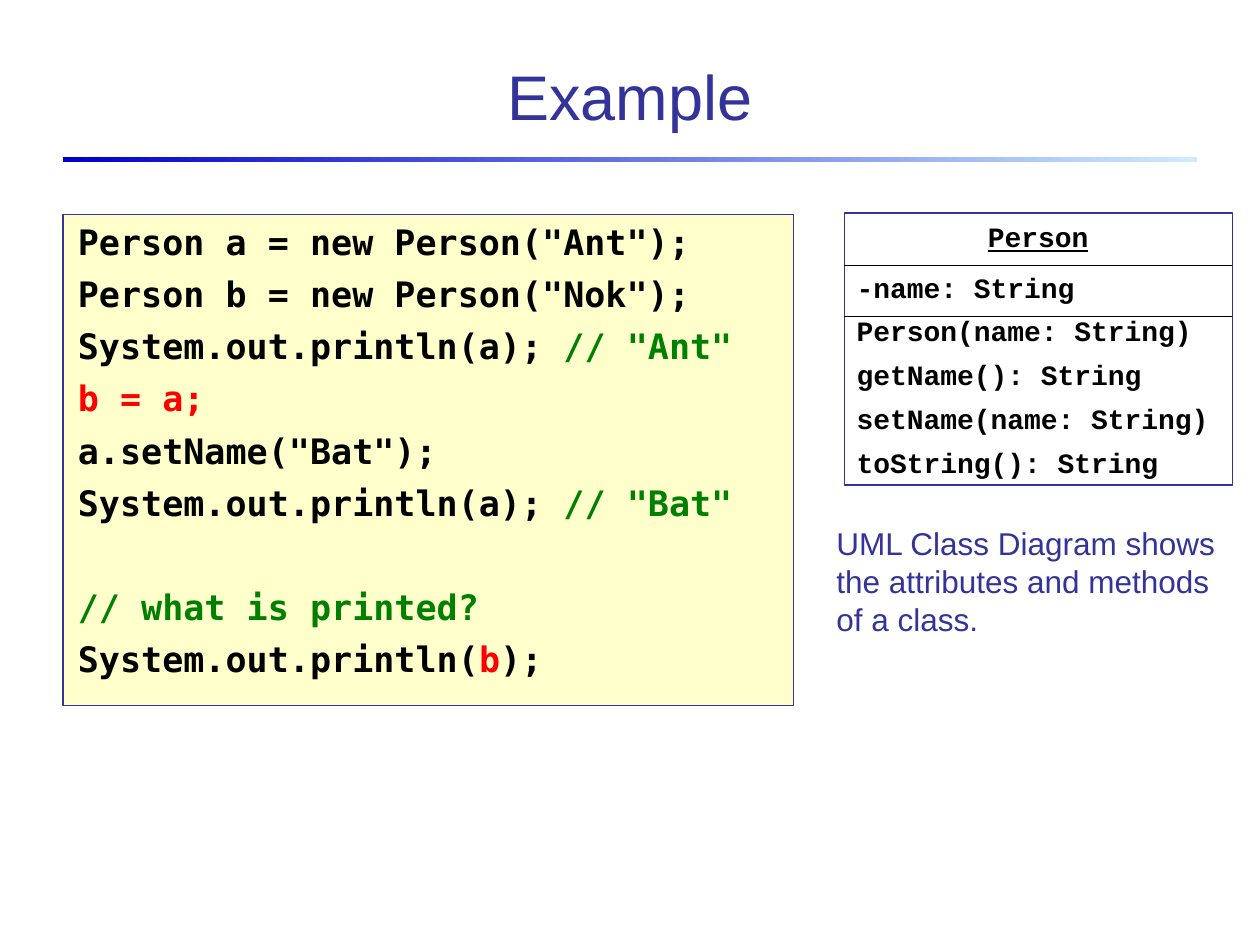
from lxml import etree
from pptx import Presentation
from pptx import util as u
from pptx.dml.color import RGBColor
from pptx.enum import shapes, text
from pptx.oxml import ns

COLORS = {
    "indigo": "333399", "black": "000000", "green": "008000", "red": "FF0000",
    "cream": "FFFFCC", "blue": "0000CC", "sky": "CCECFF",
}
CODE = [
    [('Person a = new Person("Ant");', "black")],
    [('Person b = new Person("Nok");', "black")],
    [("System.out.println(a); ", "black"), ('// "Ant"', "green")],
    [("b = a;", "red")],
    [('a.setName("Bat");', "black")],
    [("System.out.println(a); ", "black"), ('// "Bat"', "green")],
    [("// what is printed?", "green")],
    [("System.out.println(", "black"), ("b", "red"), (");", "black")],
]
METHODS = ["Person(name: String)", "getName(): String",
           "setName(name: String)", "toString(): String"]


def rgb(name):
    return RGBColor.from_string(COLORS[name])


def write(p, content, *, size, font, color="black", bold=False, underline=False,
          align=text.PP_ALIGN.LEFT, before=0):
    """Fill a paragraph from a string or from (string, color) runs."""
    p.alignment = align
    p.space_before = u.Pt(before)
    p.line_spacing = 1.0
    runs = [(content, color)] if isinstance(content, str) else content
    for words, run_color in runs:
        r = p.add_run()
        r.text = words
        r.font.size = u.Pt(size)
        r.font.name = font
        r.font.bold = bold
        r.font.underline = underline
        r.font.color.rgb = rgb(run_color)


def add_box(parent, left, top, width, height, fill=None):
    sp = parent.add_shape(shapes.MSO_SHAPE.RECTANGLE, u.Inches(left), u.Inches(top),
                          u.Inches(width), u.Inches(height))
    sp.shadow.inherit = False
    if fill:
        sp.fill.solid()
        sp.fill.fore_color.rgb = rgb(fill)
    else:
        sp.fill.background()
    sp.line.color.rgb = rgb("indigo")
    sp.line.width = u.Pt(0.75)
    sp.text_frame.word_wrap = True
    sp.text_frame.vertical_anchor = text.MSO_ANCHOR.TOP
    return sp


def add_divider(parent, left, right, y):
    line = parent.add_connector(shapes.MSO_CONNECTOR.STRAIGHT, u.Inches(left),
                                u.Inches(y), u.Inches(right), u.Inches(y))
    line.line.color.rgb = rgb("black")
    line.line.width = u.Pt(0.75)
    etree.SubElement(line._element.spPr, ns.qn("a:effectLst"))


def add_title(s):
    # Gradient rule under the title
    bar = add_box(s.shapes, 0.5, 1.25, 9, 0.04)
    bar.line.fill.background()
    bar.fill.gradient()
    bar.fill.gradient_angle = 0
    for stop, color in zip(bar.fill.gradient_stops, ("blue", "sky")):
        stop.color.rgb = rgb(color)

    title = s.shapes.title
    title.left, title.top = u.Inches(0.67), u.Inches(0.28)
    title.width, title.height = u.Inches(8.66), u.Inches(0.95)
    tf = title.text_frame
    tf.auto_size = text.MSO_AUTO_SIZE.NONE
    tf.vertical_anchor = text.MSO_ANCHOR.MIDDLE
    write(tf.paragraphs[0], "Example", size=36, font="Arial", color="indigo",
          align=text.PP_ALIGN.CENTER)


def add_code(s):
    tf = add_box(s.shapes, 0.5, 1.7, 5.8, 3.9, fill="cream").text_frame
    for i, line in enumerate(CODE):
        p = tf.add_paragraph() if i else tf.paragraphs[0]
        pPr = p._p.get_or_add_pPr()
        pPr.set("marL", str(u.Inches(0.25)))
        pPr.set("indent", str(u.Inches(-0.23)))
        # The closing question stands one line apart
        before = 0 if i == 0 else 35.6 if i == 6 else 5.8
        write(p, line, size=20, font="DejaVu Sans Mono", bold=True, before=before)


def add_class_diagram(s):
    left, top, width = 6.7, 1.69, 3.08
    group = s.shapes.add_group_shape().shapes
    tf = add_box(group, left, top, width, 2.16).text_frame
    style = dict(size=16, font="Courier New", bold=True)
    write(tf.paragraphs[0], "Person", underline=True,
          align=text.PP_ALIGN.CENTER, **style)
    write(tf.add_paragraph(), "-name: String", before=10, **style)
    for method in METHODS:
        write(tf.add_paragraph(), method, before=5.8, **style)
    # Lines between name, attributes and methods
    for y in (2.11, 2.51):
        add_divider(group, left, left + width, y)


def add_caption(s):
    box = s.shapes.add_textbox(u.Inches(6.54), u.Inches(4.11),
                               u.Inches(3.37), u.Inches(1))
    tf = box.text_frame
    tf.word_wrap = True
    write(tf.paragraphs[0],
          "UML Class Diagram shows the attributes and methods of a class.",
          size=18, font="Arial", color="indigo")


def main():
    prs = Presentation()
    prs.slide_width, prs.slide_height = u.Inches(10), u.Inches(7.5)
    s = prs.slides.add_slide(prs.slide_layouts[5])
    add_title(s)
    add_code(s)
    add_class_diagram(s)
    add_caption(s)
    prs.save("out.pptx")


if __name__ == "__main__":
    main()
